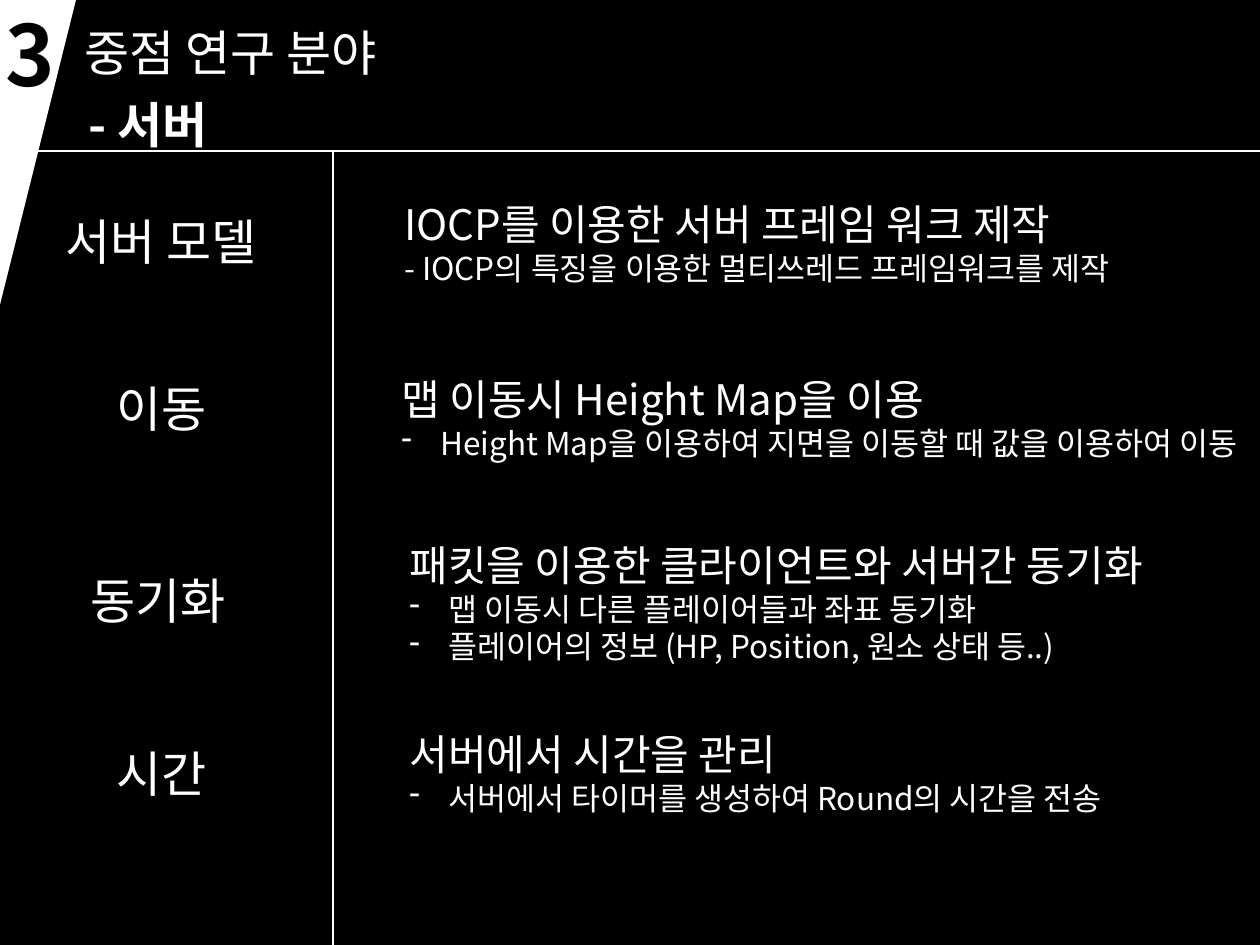
from lxml import etree
from pptx import Presentation
from pptx import util as u
from pptx.dml.color import RGBColor
from pptx.enum import shapes, text
from pptx.oxml.ns import qn

# Content: (label, label box, heading, details, bulleted, body box); boxes are (left, top, width, height) in px
SECTION_NUMBER = "3"
TITLE = "중점 연구 분야"
SUBTITLE = "- 서버"
TOPICS = [
    ("서버 모델", (23, 205, 276, 72), "IOCP를 이용한 서버 프레임 워크 제작",
     ["- IOCP의 특징을 이용한 멀티쓰레드 프레임워크를 제작"], False, (392, 192, 745, 102)),
    ("이동", (24, 372, 276, 72), "맵 이동시 Height Map을 이용",
     ["Height Map을 이용하여 지면을 이동할 때 값을 이용하여 이동"], True, (389, 367, 864, 102)),
    ("동기화", (20, 564, 276, 72), "패킷을 이용한 클라이언트와 서버간 동기화",
     ["맵 이동시 다른 플레이어들과 좌표 동기화",
      "플레이어의 정보 (HP, Position, 원소 상태 등..)"], True, (397, 533, 825, 140)),
    ("시간", (24, 737, 276, 72), "서버에서 시간을 관리",
     ["서버에서 타이머를 생성하여 Round의 시간을 전송"], True, (397, 722, 864, 102)),
]

THEME = {
    "font": "Noto Sans CJK KR",
    "black": RGBColor(0, 0, 0),
    "white": RGBColor(255, 255, 255),
    "number": 48, "title": 28, "heading": 24, "detail": 18,
    "outline": 2, "rule": 0.75,
}
PX = 914400 / 126
WIDTH, HEIGHT = 1260, 945
RULE_Y, DIVIDER_X = 151, 333
BULLET_INDENT = 39


def emu(*lengths):
    return [round(length * PX) for length in lengths]


def add_text(slide, box, lines):
    """Each line is (words, format keywords for write)."""
    frame = slide.shapes.add_textbox(*emu(*box)).text_frame
    frame.word_wrap = True
    frame.auto_size = text.MSO_AUTO_SIZE.SHAPE_TO_FIT_TEXT
    for index, (words, style) in enumerate(lines):
        paragraph = frame.add_paragraph() if index else frame.paragraphs[0]
        write(paragraph, words, **style)


def write(paragraph, words, size="title", color="white", bold=False, centered=False, bullet=False):
    if centered:
        paragraph.alignment = text.PP_ALIGN.CENTER
    if bullet:
        properties = paragraph._p.get_or_add_pPr()
        indent, = emu(BULLET_INDENT)
        properties.set("marL", str(indent))
        properties.set("indent", str(-indent))
        etree.SubElement(properties, qn("a:buFontTx"))
        etree.SubElement(properties, qn("a:buChar")).set("char", "-")
    run = paragraph.add_run()
    run.text = words
    run.font.name = THEME["font"]
    run.font.size = u.Pt(THEME[size])
    run.font.bold = bold
    run.font.color.rgb = THEME[color]
    east_asian = etree.SubElement(run._r.get_or_add_rPr(), qn("a:ea"))
    east_asian.set("typeface", THEME["font"])


def add_block(slide, kind, box, color, rotation=0):
    block = slide.shapes.add_shape(kind, *emu(*box))
    block.rotation = rotation
    block.shadow.inherit = False
    block.fill.solid()
    block.fill.fore_color.rgb = THEME[color]
    block.line.color.rgb = THEME[color]
    block.line.width = u.Pt(THEME["outline"])


def add_rule(slide, *ends):
    rule = slide.shapes.add_connector(shapes.MSO_CONNECTOR.STRAIGHT, *emu(*ends))
    rule.line.color.rgb = THEME["white"]
    rule.line.width = u.Pt(THEME["rule"])
    etree.SubElement(rule._element.spPr, qn("a:effectLst"))


def main():
    deck = Presentation()
    deck.slide_width, deck.slide_height = emu(WIDTH, HEIGHT)
    slide = deck.slides.add_slide(deck.slide_layouts[6])

    # Backdrop and corner wedge
    add_block(slide, shapes.MSO_SHAPE.RECTANGLE, (0, 0, WIDTH, HEIGHT), "black")
    add_block(slide, shapes.MSO_SHAPE.RIGHT_TRIANGLE, (-116, 113, 305, 76), "white", rotation=90)

    # Header
    add_text(slide, (20, 16, 422, 72), [(TITLE, dict(centered=True))])
    add_text(slide, (-8, -4, 77, 115),
             [(SECTION_NUMBER, dict(size="number", color="black", bold=True, centered=True))])
    add_text(slide, (76, 88, 350, 72), [(SUBTITLE, dict(bold=True))])

    # Rules
    add_rule(slide, 37, RULE_Y, WIDTH, RULE_Y)
    add_rule(slide, DIVIDER_X, RULE_Y, DIVIDER_X, HEIGHT)

    # Topics
    for label, label_box, heading, details, bulleted, body_box in TOPICS:
        add_text(slide, label_box, [(label, dict(centered=True))])
        add_text(slide, body_box, [(heading, dict(size="heading"))] +
                 [(detail, dict(size="detail", bullet=bulleted)) for detail in details])

    deck.save("out.pptx")


if __name__ == "__main__":
    main()
